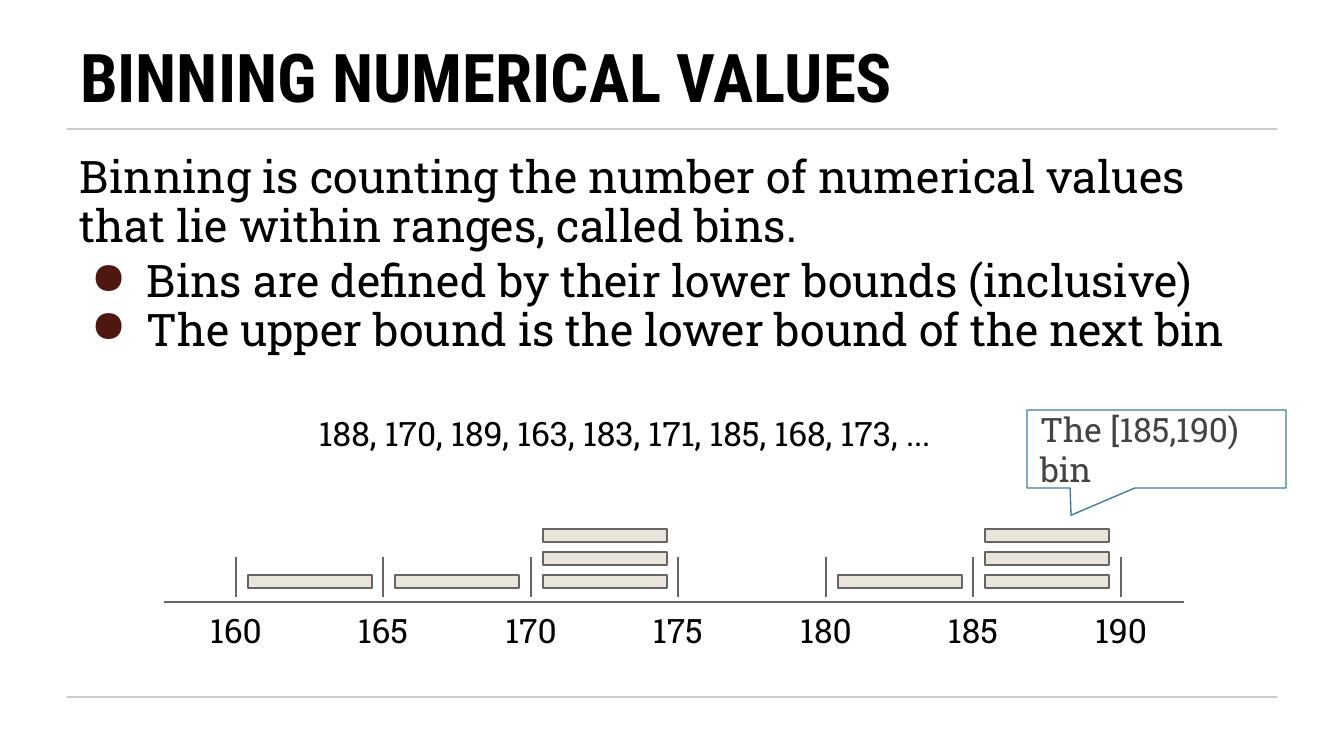
from dataclasses import dataclass

from lxml import etree
from pptx import Presentation
from pptx.dml.color import RGBColor
from pptx.enum.shapes import MSO_CONNECTOR, MSO_SHAPE
from pptx.enum.text import MSO_ANCHOR, MSO_AUTO_SIZE, PP_ALIGN
from pptx.oxml.ns import qn
from pptx.util import Pt

LEFT, CENTER = PP_ALIGN.LEFT, PP_ALIGN.CENTER
TOP, MIDDLE, BOTTOM = MSO_ANCHOR.TOP, MSO_ANCHOR.MIDDLE, MSO_ANCHOR.BOTTOM
RECT, CALLOUT = MSO_SHAPE.RECTANGLE, MSO_SHAPE.ROUNDED_RECTANGULAR_CALLOUT
STRAIGHT = MSO_CONNECTOR.STRAIGHT
FIXED = MSO_AUTO_SIZE.NONE
TITLE_ONLY = 5
WIDTH, HEIGHT = 1344, 756


@dataclass(frozen=True)
class Theme:
    head: str = "Roboto Condensed"
    text: str = "Roboto Slab"
    black: str = "000000"
    gray: str = "434343"
    rule: str = "CCCCCC"
    axis: str = "696464"
    bar: str = "E9E5DC"
    dot: str = "4E1710"
    blue: str = "3B7EA1"
    white: str = "FFFFFF"
    title: int = 36
    body: int = 24
    label: int = 18
    line: float = 0.75


def px(n):
    """Turn px (134.4 to the inch) into EMU."""
    return round(n * 914400 / 134.4)


def color(code):
    return RGBColor.from_string(code)


def bullet(para, code):
    """Give a paragraph a hanging coloured dot."""
    props = para._p.get_or_add_pPr()
    props.set("marL", str(px(67)))
    props.set("indent", str(px(-56)))
    tint = etree.SubElement(props, qn("a:buClr"))
    etree.SubElement(tint, qn("a:srgbClr"), val=code)
    etree.SubElement(props, qn("a:buChar"), char="●")


def write(para, text, font, size, ink, bold=False, align=LEFT,
          space=None, before=0, dot=None):
    """Fill one paragraph with formatted text."""
    para.alignment = align
    para.space_before = Pt(before)
    if space:
        para.line_spacing = space
    if dot:
        bullet(para, dot)
    run = para.add_run()
    run.text = text
    run.font.name = font
    run.font.size = Pt(size)
    run.font.bold = bold
    run.font.color.rgb = color(ink)


class Deck:
    def __init__(self, theme):
        self.theme = theme
        self.file = Presentation()
        self.file.slide_width, self.file.slide_height = px(WIDTH), px(HEIGHT)
        self.slide = self.file.slides.add_slide(
            self.file.slide_layouts[TITLE_ONLY])
        self.shapes = self.slide.shapes

    def frame(self, shape, anchor=TOP):
        """Set up a text frame and return its first paragraph."""
        frame = shape.text_frame
        frame.word_wrap = True
        frame.auto_size = FIXED
        frame.vertical_anchor = anchor
        frame.margin_left = frame.margin_right = px(13)
        frame.margin_top = frame.margin_bottom = px(13)
        return frame.paragraphs[0]

    def title(self, text, x, y, w, h):
        shape = self.shapes.title
        shape.left, shape.top = px(x), px(y)
        shape.width, shape.height = px(w), px(h)
        look = self.theme
        write(self.frame(shape, BOTTOM), text, look.head, look.title,
              look.black, bold=True, space=0.9)

    def box(self, x, y, w, h):
        return self.shapes.add_textbox(px(x), px(y), px(w), px(h))

    def label(self, text, x, y, w, h):
        look = self.theme
        write(self.frame(self.box(x, y, w, h)), text, look.text, look.label,
              look.black, align=CENTER)

    def body(self, intro, points, x, y, w, h):
        look = self.theme
        shape = self.box(x, y, w, h)
        base = dict(font=look.text, size=look.body, ink=look.black, space=0.9)
        write(self.frame(shape), intro, **base)
        for i, point in enumerate(points):
            write(shape.text_frame.add_paragraph(), point,
                  before=0 if i else 4, dot=look.dot, **base)

    def line(self, x1, y1, x2, y2, ink):
        line = self.shapes.add_connector(
            STRAIGHT, px(x1), px(y1), px(x2), px(y2))
        line.line.color.rgb = color(ink)
        line.line.width = Pt(self.theme.line)
        etree.SubElement(line._element.spPr, qn("a:effectLst"))

    def shape(self, kind, x, y, w, h, fill, edge):
        shape = self.shapes.add_shape(kind, px(x), px(y), px(w), px(h))
        shape.shadow.inherit = False
        shape.fill.solid()
        shape.fill.fore_color.rgb = color(fill)
        shape.line.color.rgb = color(edge)
        shape.line.width = Pt(self.theme.line)
        return shape

    def callout(self, text, x, y, w, h, tip):
        look = self.theme
        shape = self.shape(CALLOUT, x, y, w, h, look.white, look.blue)
        for i, value in enumerate(tip):
            shape.adjustments[i] = value
        write(self.frame(shape, MIDDLE), text, look.text, look.label,
              look.gray)


def main():
    look = Theme()
    deck = Deck(look)

    # Page rules and heading
    for y in (129, 697):
        deck.line(67, y, 1277, y, look.rule)
    deck.title("BINNING NUMERICAL VALUES", 67, 31, 1110, 99)

    # Explanation
    deck.body("Binning is counting the number of numerical values "
              "that lie within ranges, called bins.",
              ["Bins are defined by their lower bounds (inclusive)",
               "The upper bound is the lower bound of the next bin"],
              67, 142, 1210, 255)

    # Sample values
    values = [188, 170, 189, 163, 183, 171, 185, 168, 173]
    deck.label(", ".join(map(str, values)) + ", ...", 134, 400, 982, 78)

    # Axis, with one tick and label per bound and one bar per value
    deck.line(164, 602, 1184, 602, look.axis)
    step = 5
    for i, bound in enumerate(range(160, 191, step)):
        x = 236 + 885 * i // 6
        deck.label(str(bound), x - 56, 597, 112, 78)
        deck.line(x, 597, x, 557, look.axis)
        count = sum(bound <= v < bound + step for v in values)
        for level in range(count):
            deck.shape(RECT, x + 12, 575 - 23 * level, 124, 13,
                       look.bar, look.axis)

    # Note on the last bin
    deck.callout("The [185,190) bin", 1027, 410, 259, 78, (-0.33, 0.85, 0))

    deck.file.save("out.pptx")


if __name__ == "__main__":
    main()
